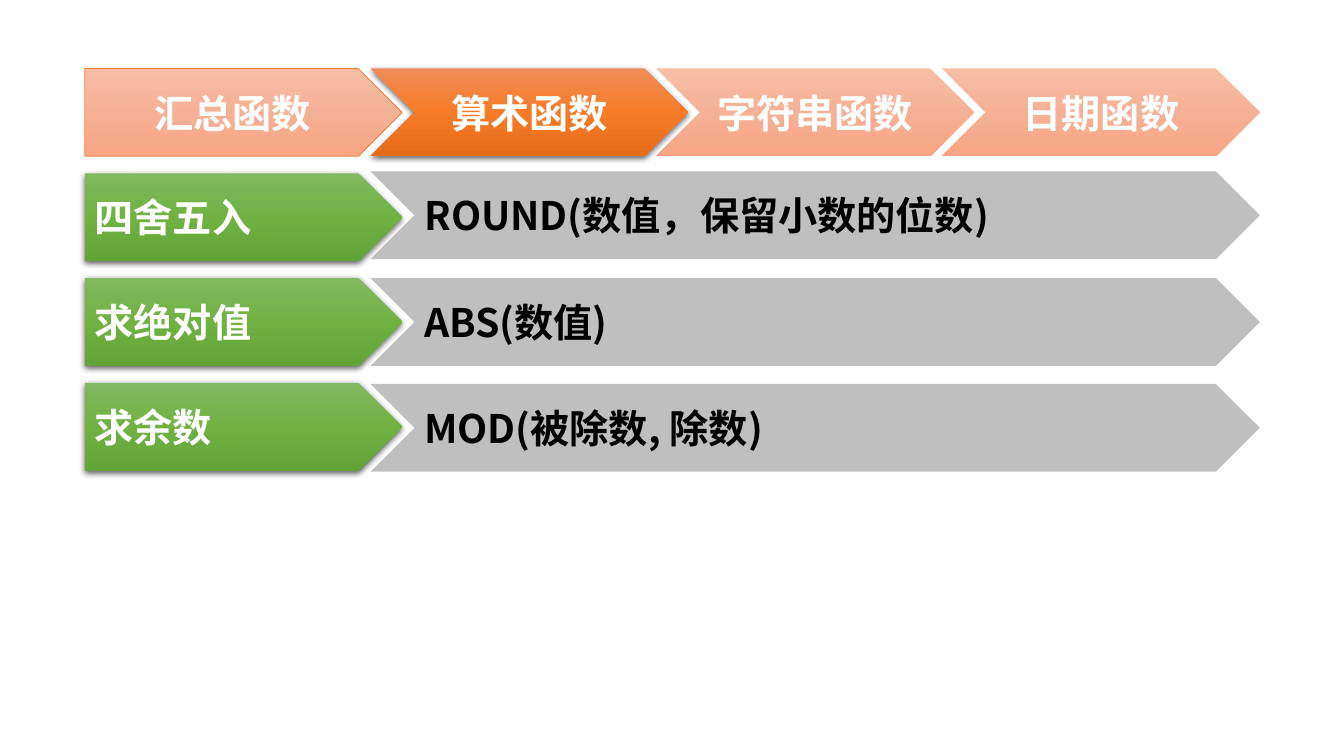
"""Build a slide of function categories with three arithmetic functions."""
from dataclasses import dataclass
from typing import Optional

from lxml import etree
from pptx import Presentation
from pptx.dml.color import RGBColor
from pptx.enum.shapes import MSO_SHAPE
from pptx.enum.text import MSO_ANCHOR, PP_ALIGN
from pptx.oxml.ns import qn
from pptx.util import Inches, Pt

PENTAGON, CHEVRON = MSO_SHAPE.PENTAGON, MSO_SHAPE.CHEVRON
LEFT, CENTER = PP_ALIGN.LEFT, PP_ALIGN.CENTER
MIDDLE = MSO_ANCHOR.MIDDLE


@dataclass(frozen=True)
class Theme:
    font: str = "Noto Sans CJK SC"
    size: float = 28
    space_before: float = 12
    light: str = "FFFFFF"
    dark: str = "000000"
    outline: str = "ED7D31"
    shadow: str = "000000"
    inactive: tuple[str, ...] = ("F7BDA5", "F5B196", "F8A582")
    active: tuple[str, ...] = ("F18C57", "F67B28", "E56C19")
    label: tuple[str, ...] = ("81B861", "6FB242", "62A336")
    formula: tuple[str, ...] = ("BFBFBF",)


@dataclass(frozen=True)
class Arrow:
    text: str
    left: float
    top: float
    width: float
    preset: MSO_SHAPE
    fill: tuple[str, ...]
    color: str
    align: PP_ALIGN = LEFT
    outline: Optional[str] = None
    shadow: bool = False


@dataclass(frozen=True)
class Function:
    label: str
    formula: str
    label_top: float
    formula_top: float


THEME = Theme()
HEIGHT = 0.87
STEP_WIDTH, FORMULA_WIDTH = 3.15, 8.82
FIRST_LEFT, TAB_TOP, STEP = 0.84, 0.68, 2.835
CATEGORIES = ("汇总函数", "算术函数", "字符串函数", "日期函数")
CURRENT = 1
FUNCTIONS = (
    Function("四舍五入", "ROUND(数值，保留小数的位数)", 1.72, 1.7),
    Function("求绝对值", "ABS(数值)", 2.76, 2.76),
    Function("求余数", "MOD(被除数, 除数)", 3.8, 3.81),
)


def category_arrow(i: int, text: str) -> Arrow:
    first, current = i == 0, i == CURRENT
    return Arrow(text, FIRST_LEFT + i * STEP, TAB_TOP, STEP_WIDTH,
                 PENTAGON if first else CHEVRON,
                 THEME.active if current else THEME.inactive, THEME.light,
                 CENTER, THEME.outline if first else None, current)


def label_arrow(f: Function) -> Arrow:
    return Arrow(f.label, FIRST_LEFT, f.label_top, STEP_WIDTH, PENTAGON,
                 THEME.label, THEME.light, shadow=True)


def formula_arrow(f: Function) -> Arrow:
    return Arrow(f.formula, FIRST_LEFT + STEP, f.formula_top, FORMULA_WIDTH,
                 CHEVRON, THEME.formula, THEME.dark)


def set_fill(s, colors: tuple[str, ...]) -> None:
    if len(colors) == 1:
        s.fill.solid()
        s.fill.fore_color.rgb = RGBColor.from_string(colors[0])
        return
    s.fill.gradient()
    s.fill.gradient_angle = 270
    stops = s.element.spPr.find(".//" + qn("a:gsLst"))
    for stop in list(stops):
        stops.remove(stop)
    for i, color in enumerate(colors):
        position = str(100000 * i // (len(colors) - 1))
        stop = etree.SubElement(stops, qn("a:gs"), pos=position)
        etree.SubElement(stop, qn("a:srgbClr"), val=color)


def add_shadow(s) -> None:
    effects = s.element.spPr.find(qn("a:effectLst"))
    outer = etree.SubElement(effects, qn("a:outerShdw"),
                             blurRad=str(Pt(4.5)), dist=str(Pt(1.5)),
                             dir="5400000", algn="ctr", rotWithShape="0")
    color = etree.SubElement(outer, qn("a:srgbClr"), val=THEME.shadow)
    etree.SubElement(color, qn("a:alpha"), val="63000")


def set_text(s, arrow: Arrow) -> None:
    tf = s.text_frame
    tf.text = arrow.text
    tf.word_wrap = True
    tf.vertical_anchor = MIDDLE
    p = tf.paragraphs[0]
    p.alignment = arrow.align
    p.space_before = Pt(THEME.space_before)
    font = p.runs[0].font
    font.name, font.size, font.bold = THEME.font, Pt(THEME.size), True
    font.color.rgb = RGBColor.from_string(arrow.color)
    latin = p.runs[0]._r.rPr.find(qn("a:latin"))
    latin.addnext(etree.Element(qn("a:ea"), typeface=THEME.font))


def draw_arrow(slide, arrow: Arrow) -> None:
    s = slide.shapes.add_shape(arrow.preset, Inches(arrow.left),
                               Inches(arrow.top), Inches(arrow.width),
                               Inches(HEIGHT))
    s.shadow.inherit = False
    set_fill(s, arrow.fill)
    if arrow.outline:
        s.line.color.rgb = RGBColor.from_string(arrow.outline)
        s.line.width = Pt(0.5)
    else:
        s.line.fill.background()
    if arrow.shadow:
        add_shadow(s)
    set_text(s, arrow)


def main() -> None:
    prs = Presentation()
    prs.slide_width, prs.slide_height = Inches(13.33), Inches(7.5)
    slide = prs.slides.add_slide(prs.slide_layouts[6])
    arrows = [category_arrow(i, text) for i, text in enumerate(CATEGORIES)]
    arrows += [label_arrow(f) for f in FUNCTIONS]
    arrows += [formula_arrow(f) for f in FUNCTIONS]
    for arrow in arrows:
        draw_arrow(slide, arrow)
    prs.save("out.pptx")


if __name__ == "__main__":
    main()
